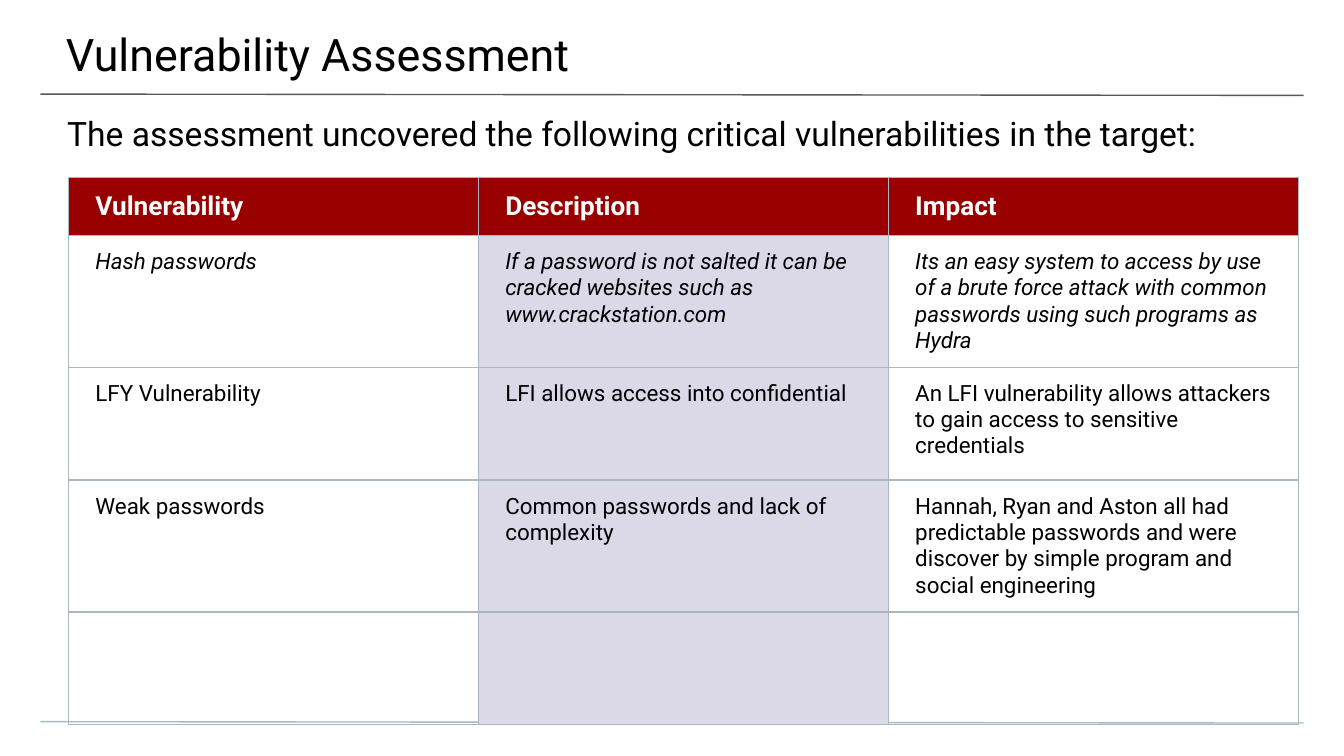
from dataclasses import dataclass

from lxml.etree import SubElement
from pptx import Presentation
from pptx.dml.color import RGBColor
from pptx.enum.shapes import MSO_CONNECTOR
from pptx.enum.text import MSO_ANCHOR, MSO_AUTO_SIZE, PP_ALIGN
from pptx.oxml.ns import qn
from pptx.util import Inches, Pt


@dataclass(frozen=True)
class Theme:
    font: str = "Roboto"
    text: str = "000000"
    header_text: str = "FFFFFF"
    header_fill: str = "990000"
    description_fill: str = "DBD9E8"
    top_rule: str = "595959"
    border: str = "A9B7C0"
    line_width: float = 0.75
    title_size: int = 24
    lead_size: int = 18
    header_size: int = 14
    body_size: int = 12


THEME = Theme()
HEADINGS = ["Vulnerability", "Description", "Impact"]
FINDINGS = [
    ["Hash passwords",
     "If a password is not salted it can be cracked websites such as www.crackstation.com",
     "Its an easy system to access by use of a brute force attack with common "
     "passwords using such programs as Hydra"],
    ["LFY Vulnerability",
     "LFI allows access into confidential",
     "An LFI vulnerability allows attackers to gain access to sensitive credentials"],
    ["Weak passwords",
     "Common passwords and lack of complexity",
     "Hannah, Ryan and Aston all had predictable passwords and were discover by "
     "simple program and social engineering"],
    ["", "", ""],
]


def write(frame, text, size=THEME.body_size, color=THEME.text, bold=False, italic=False):
    frame.word_wrap = True
    paragraph = frame.paragraphs[0]
    paragraph.text = text
    paragraph.alignment = PP_ALIGN.LEFT
    paragraph.space_before = Pt(0)
    font = paragraph.font
    font.name, font.size, font.bold, font.italic = THEME.font, Pt(size), bold, italic
    font.color.rgb = RGBColor.from_string(color)


def set_insets(target, left, top, right, bottom):
    """Set the inner margins of a text frame or a table cell, in inches."""
    target.margin_left, target.margin_top = Inches(left), Inches(top)
    target.margin_right, target.margin_bottom = Inches(right), Inches(bottom)


def add_rule(slide, left, top, width, color):
    rule = slide.shapes.add_connector(
        MSO_CONNECTOR.STRAIGHT, Inches(left), Inches(top),
        Inches(left + width), Inches(top + 0.01))
    rule.line.color.rgb = RGBColor.from_string(color)
    rule.line.width = Pt(THEME.line_width)
    SubElement(rule._element.spPr, qn("a:effectLst"))


def place_heading(placeholder, box, insets, text, size):
    placeholder.left, placeholder.top, placeholder.width, placeholder.height = map(Inches, box)
    frame = placeholder.text_frame
    frame.auto_size = MSO_AUTO_SIZE.NONE
    frame.vertical_anchor = MSO_ANCHOR.TOP
    set_insets(frame, *insets)
    write(frame, text, size=size)


def add_borders(cell):
    properties = cell._tc.get_or_add_tcPr()
    for position, side in enumerate(("a:lnL", "a:lnR", "a:lnT", "a:lnB")):
        border = properties.makeelement(qn(side), {"w": str(Pt(THEME.line_width))})
        fill = SubElement(border, qn("a:solidFill"))
        SubElement(fill, qn("a:srgbClr"), val=THEME.border)
        properties.insert(position, border)


def format_cell(cell, fill):
    set_insets(cell, 0.2, 0.1, 0.2, 0.1)
    if fill:
        cell.fill.solid()
        cell.fill.fore_color.rgb = RGBColor.from_string(fill)
    else:
        cell.fill.background()
    add_borders(cell)


def add_findings_table(slide, left, top, width, header_height, row_height):
    rows, columns = len(FINDINGS) + 1, len(HEADINGS)
    height = header_height + row_height * len(FINDINGS)
    table = slide.shapes.add_table(
        rows, columns, Inches(left), Inches(top), Inches(width), Inches(height)).table
    table.horz_banding = False
    for column in table.columns:
        column.width = Inches(width / columns)
    for index, row in enumerate(table.rows):
        row.height = Inches(row_height if index else header_height)

    for column, heading in enumerate(HEADINGS):
        cell = table.cell(0, column)
        format_cell(cell, THEME.header_fill)
        cell.vertical_anchor = MSO_ANCHOR.MIDDLE
        write(cell.text_frame, heading, size=THEME.header_size,
              color=THEME.header_text, bold=True)

    for row, finding in enumerate(FINDINGS, start=1):
        for column, text in enumerate(finding):
            cell = table.cell(row, column)
            is_description = HEADINGS[column] == "Description"
            format_cell(cell, THEME.description_fill if is_description else None)
            cell.vertical_anchor = MSO_ANCHOR.TOP
            write(cell.text_frame, text, italic=row == 1)


def build_assessment_slide(presentation):
    slide = presentation.slides.add_slide(presentation.slide_layouts[0])
    add_rule(slide, 0.3, 0.7, 9.4, THEME.top_rule)
    add_rule(slide, 0.3, 5.37, 9.4, THEME.border)
    place_heading(slide.shapes.title, (-0.01, 0, 10.03, 0.58), (0.5, 0.2, 0.3, 0.1),
                  "Vulnerability Assessment", THEME.title_size)
    place_heading(slide.placeholders[1], (0, 0.74, 10, 0.4), (0.5, 0.1, 0.5, 0),
                  "The assessment uncovered the following critical vulnerabilities in the target:",
                  THEME.lead_size)
    add_findings_table(slide, 0.51, 1.32, 9.15, header_height=0.43, row_height=0.84)


def main():
    presentation = Presentation()
    presentation.slide_width = Inches(10)
    presentation.slide_height = Inches(10 * 9 / 16)
    build_assessment_slide(presentation)
    presentation.save("out.pptx")


if __name__ == "__main__":
    main()
